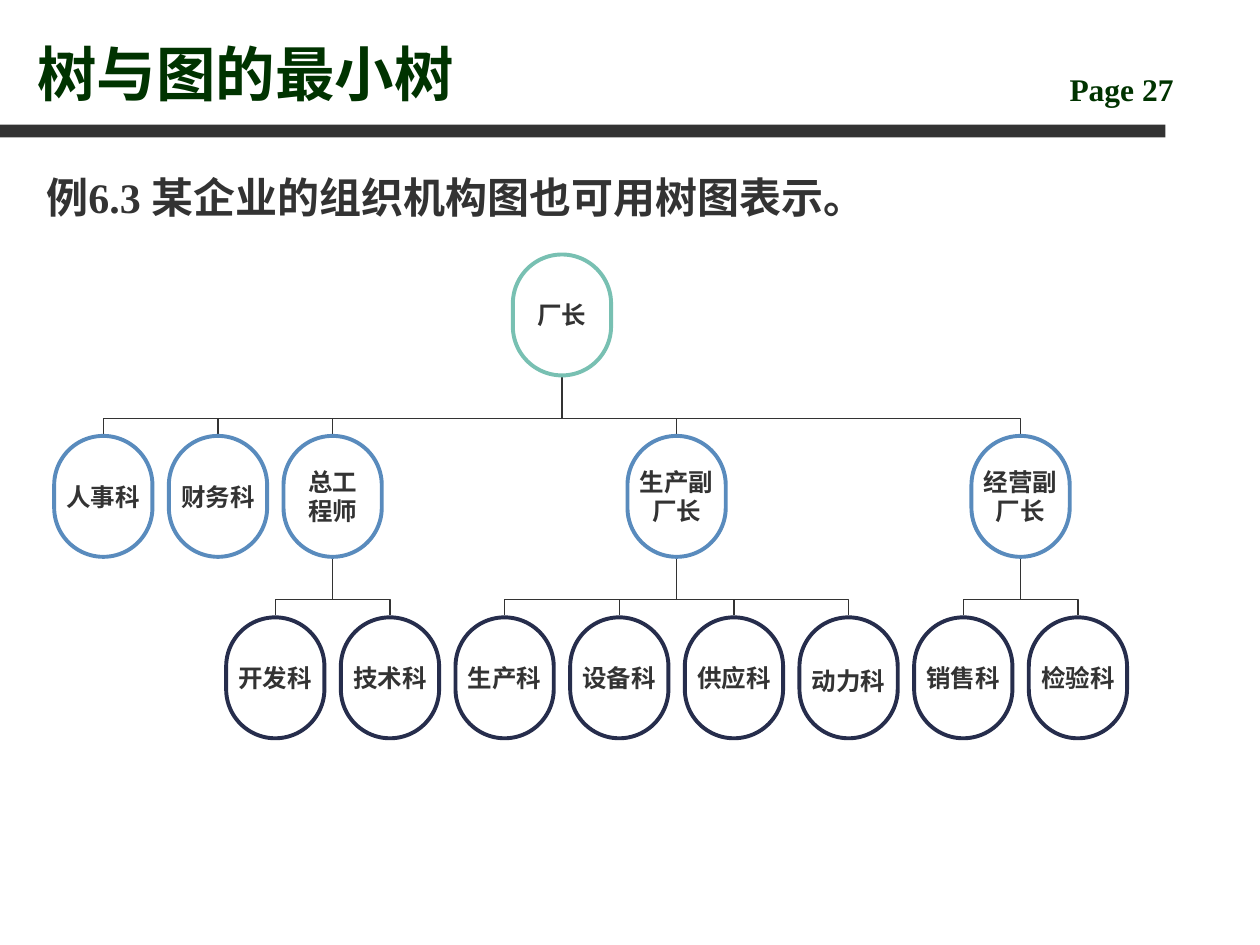
"""Build a slide showing a company's organisation chart as a tree."""
from lxml.etree import SubElement
from pptx import Presentation
from pptx.dml.color import RGBColor
from pptx.enum.shapes import MSO_CONNECTOR, MSO_SHAPE
from pptx.enum.text import MSO_ANCHOR, PP_ALIGN
from pptx.oxml.ns import qn
from pptx.util import Inches, Pt

CHARCOAL = RGBColor(0x33, 0x33, 0x33)
GREEN = RGBColor(0x00, 0x33, 0x00)
TEAL = RGBColor(0x78, 0xC0, 0xB2)
BLUE = RGBColor(0x59, 0x8B, 0xBD)
NAVY = RGBColor(0x26, 0x2D, 0x4C)

FIRST_CENTER, COLUMN_STEP = 0.82, 0.91
NODE_WIDTH, NODE_HEIGHT = 0.78, 0.96
FIRST_TOP, LEVEL_STEP = 2.02, 1.44
LINK_OVERLAP = 0.015
LEVEL_COLORS = [TEAL, BLUE, NAVY]

# name: (level, column, parent)
NODES = [
    ("厂长", 0, 4, None),
    ("人事科", 1, 0, 0),
    ("财务科", 1, 1, 0),
    ("总工\n程师", 1, 2, 0),
    ("生产副\n厂长", 1, 5, 0),
    ("经营副\n厂长", 1, 8, 0),
    ("开发科", 2, 1.5, 3),
    ("技术科", 2, 2.5, 3),
    ("生产科", 2, 3.5, 4),
    ("设备科", 2, 4.5, 4),
    ("供应科", 2, 5.5, 4),
    ("动力科", 2, 6.5, 4),
    ("销售科", 2, 7.5, 5),
    ("检验科", 2, 8.5, 5),
]


def write_text(shape, text, size, color, frame_format, line_spacing=None, alignment=None):
    frame = shape.text_frame
    for name, value in frame_format.items():
        setattr(frame, name, value)
    frame.text = text
    font_format = {"name": "Times New Roman", "size": Pt(size), "bold": True}
    for para in frame.paragraphs:
        para.alignment = alignment
        para.line_spacing = line_spacing
        for span in para.runs:
            for name, value in font_format.items():
                setattr(span.font, name, value)
            span.font.color.rgb = color


def node_place(level, column):
    return FIRST_CENTER + column * COLUMN_STEP, FIRST_TOP + level * LEVEL_STEP


deck = Presentation()
deck.slide_width, deck.slide_height = Inches(10), Inches(7.5)
page = deck.slides.add_slide(deck.slide_layouts[6])

rule = page.shapes.add_shape(MSO_SHAPE.RECTANGLE, 0, Inches(0.99), Inches(9.25), Inches(0.1))
rule.shadow.inherit = False
rule.fill.solid()
rule.fill.fore_color.rgb = CHARCOAL
rule.line.fill.background()

TEXTS = [
    ("Page 27", (8.39, 0.51, 1.42, 0.4), 18, GREEN, MSO_ANCHOR.TOP, None),
    ("树与图的最小树", (0.2, 0.13, 8.03, 0.78), 34, GREEN, MSO_ANCHOR.BOTTOM, None),
    ("例6.3 某企业的组织机构图也可用树图表示。", (0.27, 1.23, 8.9, 0.63), 24, CHARCOAL, MSO_ANCHOR.TOP, 1.2),
]
for text, place, size, color, anchor, spacing in TEXTS:
    box = page.shapes.add_textbox(*map(Inches, place))
    write_text(box, text, size, color, {"word_wrap": True, "vertical_anchor": anchor}, spacing)

for label, level, column, parent in NODES:
    if parent is None:
        continue
    child_x, child_top = node_place(level, column)
    parent_x, parent_top = node_place(*NODES[parent][1:3])
    start_y = child_top - LINK_OVERLAP
    end_y = parent_top + NODE_HEIGHT + LINK_OVERLAP
    middle_x, middle_y = (child_x + parent_x) / 2, (start_y + end_y) / 2
    half_rise, half_run = (start_y - end_y) / 2, abs(child_x - parent_x) / 2
    side = 1 if child_x > parent_x else -1
    link = page.shapes.add_connector(
        MSO_CONNECTOR.ELBOW,
        Inches(middle_x - side * half_rise), Inches(middle_y + half_run),
        Inches(middle_x + side * half_rise), Inches(middle_y - half_run),
    )
    link.line.color.rgb = CHARCOAL
    link.line.width = Pt(0.75)
    properties = link._element.spPr
    turn = 270 if side == 1 else 90
    properties.find(qn("a:xfrm")).set("rot", str(turn * 60000))
    guides = properties.find(qn("a:prstGeom")).find(qn("a:avLst"))
    SubElement(guides, qn("a:gd"), name="adj1", fmla="val 27800")
    SubElement(properties, qn("a:effectLst"))

NODE_FRAME = {
    "margin_left": 0, "margin_right": 0, "margin_top": 0, "margin_bottom": 0,
    "word_wrap": False, "vertical_anchor": MSO_ANCHOR.MIDDLE,
}
for label, level, column, parent in NODES:
    center, top = node_place(level, column)
    node = page.shapes.add_shape(
        MSO_SHAPE.ROUNDED_RECTANGLE, Inches(center - NODE_WIDTH / 2), Inches(top),
        Inches(NODE_WIDTH), Inches(NODE_HEIGHT),
    )
    node.adjustments[0] = 0.5
    node.shadow.inherit = False
    node.fill.background()
    node.line.color.rgb = LEVEL_COLORS[level]
    node.line.width = Pt(2.25)
    spacing = 1.2 if label == "动力科" else None
    write_text(node, label, 14, CHARCOAL, NODE_FRAME, spacing, PP_ALIGN.CENTER)

deck.save("out.pptx")
